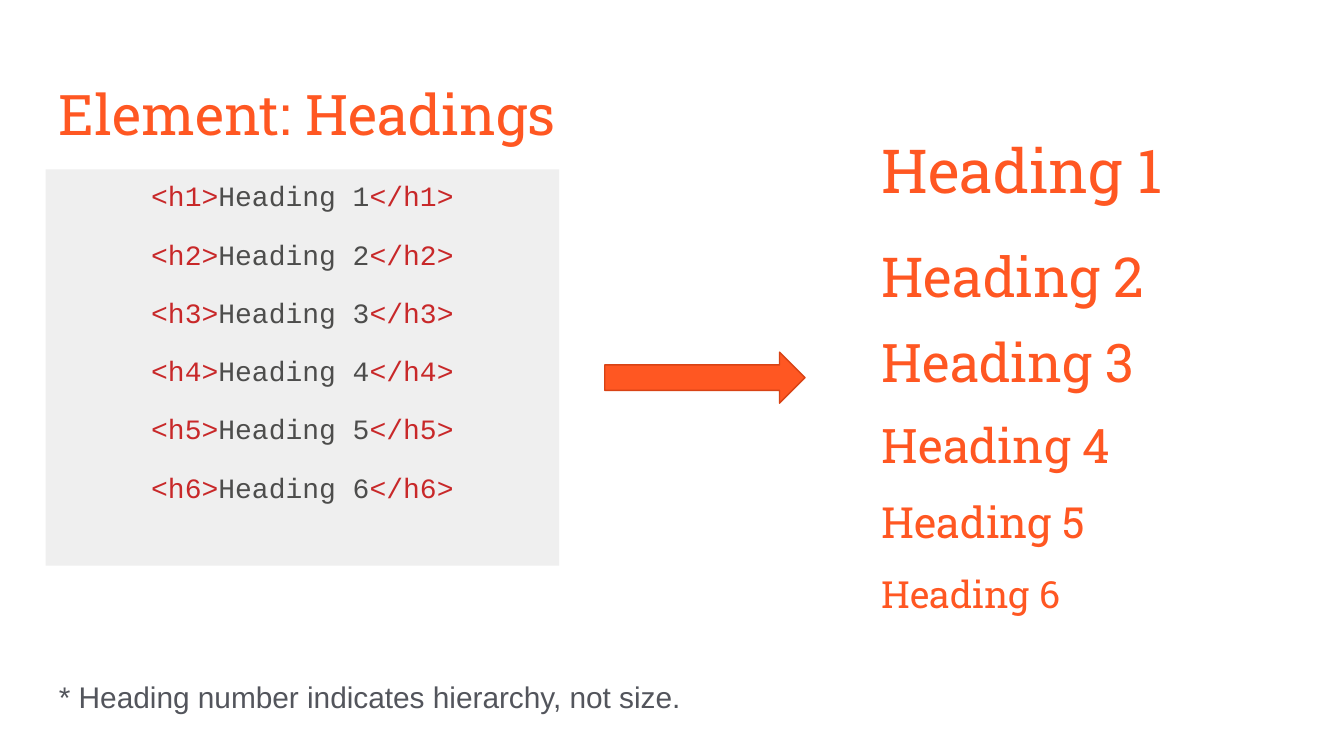
from typing import NamedTuple

from pptx import Presentation
from pptx import util as u
from pptx.dml.color import RGBColor
from pptx.enum import shapes, text

ORANGE = "FF5722"
TAG_RED = "C82829"
CODE_GRAY = "4D4D4C"
SLAB = "Roboto Slab"


class Box(NamedTuple):
    left: float
    top: float
    width: float
    height: float

    def lengths(self) -> list[u.Length]:
        return [u.Inches(value) for value in self]


class Run(NamedTuple):
    wording: str
    color: str


class Heading(NamedTuple):
    level: int
    size: float
    space_before: float

    @property
    def wording(self) -> str:
        return f"Heading {self.level}"


HEADINGS = [
    Heading(1, 32.5, 0),
    Heading(2, 29.5, 23),
    Heading(3, 28.5, 15),
    Heading(4, 25.5, 15),
    Heading(5, 23, 15),
    Heading(6, 20, 15),
]


def rgb(color: str) -> RGBColor:
    return RGBColor.from_string(color)


def add_frame(slide, box: Box):
    panel = slide.shapes.add_textbox(*box.lengths())
    frame = panel.text_frame
    frame.word_wrap = True
    frame.vertical_anchor = text.MSO_ANCHOR.TOP
    frame.margin_left = frame.margin_right = u.Inches(0.1)
    frame.margin_top = frame.margin_bottom = u.Inches(0.1)
    return panel


def write(frame, runs: list[Run], *, size: float, font: str, first: bool = True,
          align=text.PP_ALIGN.LEFT, spacing: float = 1.0,
          before: float = 0, after: float = 0) -> None:
    paragraph = frame.paragraphs[0] if first else frame.add_paragraph()
    paragraph.alignment = align
    paragraph.line_spacing = spacing
    paragraph.space_before = u.Pt(before)
    paragraph.space_after = u.Pt(after)
    for part in runs:
        run = paragraph.add_run()
        run.text = part.wording
        run.font.name = font
        run.font.size = u.Pt(size)
        run.font.color.rgb = rgb(part.color)


def draw_code(slide, box: Box) -> None:
    code = add_frame(slide, box)
    code.fill.solid()
    code.fill.fore_color.rgb = rgb("EFEFEF")
    for heading in HEADINGS:
        first = heading.level == 1
        tag = f"h{heading.level}"
        runs = [Run(f"<{tag}>", TAG_RED), Run(heading.wording, CODE_GRAY),
                Run(f"</{tag}>", TAG_RED)]
        write(code.text_frame, runs, size=15, font="Courier New", first=first,
              align=text.PP_ALIGN.CENTER, spacing=0.9, before=0 if first else 15)


def draw_result(slide, box: Box) -> None:
    result = add_frame(slide, box)
    for heading in HEADINGS:
        write(result.text_frame, [Run(heading.wording, ORANGE)], size=heading.size,
              font=SLAB, first=heading.level == 1, spacing=0.9,
              before=heading.space_before)


def draw_arrow(slide, box: Box) -> None:
    arrow = slide.shapes.add_shape(shapes.MSO_SHAPE.RIGHT_ARROW, *box.lengths())
    arrow.shadow.inherit = False
    arrow.fill.solid()
    arrow.fill.fore_color.rgb = rgb(ORANGE)
    arrow.line.color.rgb = rgb("D84315")
    arrow.line.width = u.Pt(0.75)


def main() -> None:
    deck = Presentation()
    deck.slide_width = u.Inches(10)
    deck.slide_height = u.Inches(10 * 9 / 16)
    slide = deck.slides.add_slide(deck.slide_layouts[6])

    title = add_frame(slide, Box(0.34, 0.49, 9.32, 0.63))
    write(title.text_frame, [Run("Element: Headings", ORANGE)], size=30, font=SLAB)
    draw_code(slide, Box(0.34, 1.26, 3.82, 2.95))
    draw_result(slide, Box(6.46, 0.95, 3.2, 4.1))
    footnote = add_frame(slide, Box(0.34, 4.91, 6.76, 0.45))
    write(footnote.text_frame,
          [Run("* Heading number indicates hierarchy, not size.", "53555C")],
          size=16, font="Arial", spacing=1.15, after=16)
    draw_arrow(slide, Box(4.5, 2.62, 1.49, 0.38))

    deck.save("out.pptx")


if __name__ == "__main__":
    main()
